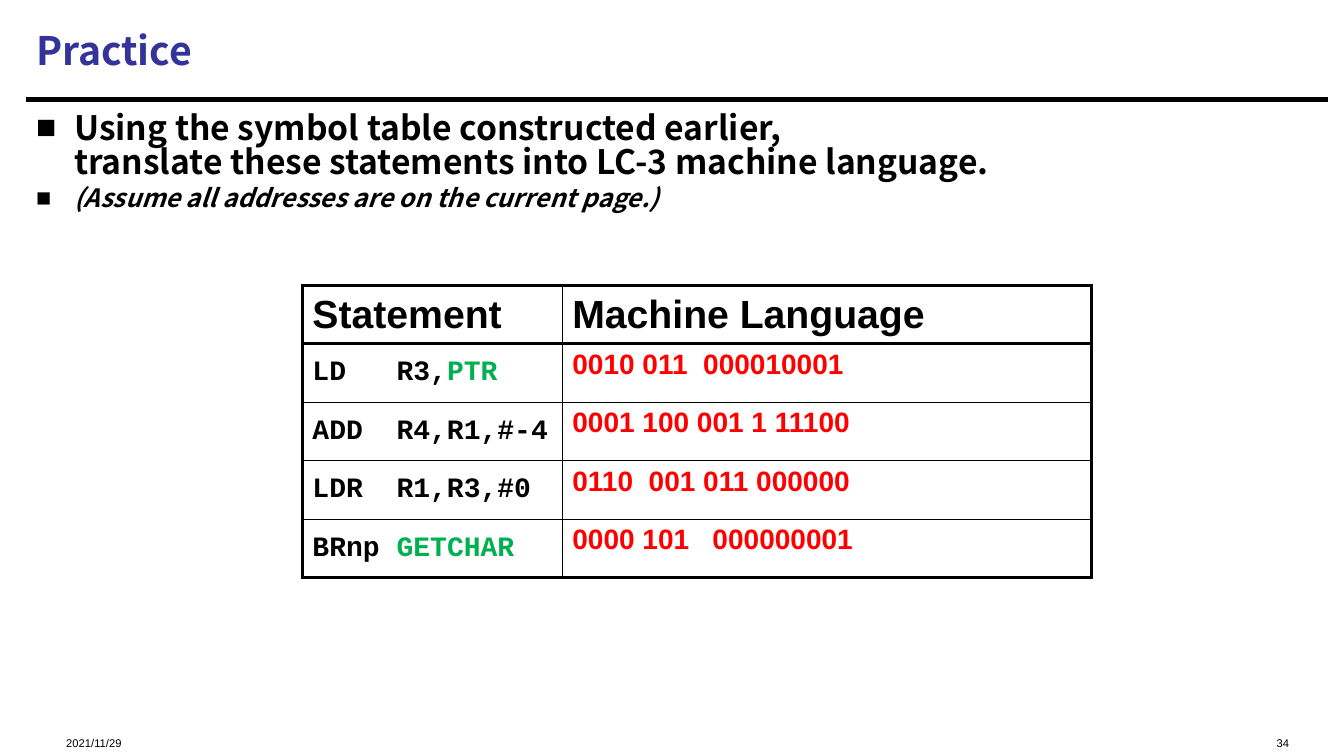
from lxml.etree import SubElement
from pptx import Presentation
from pptx.dml.color import RGBColor
from pptx.enum.shapes import MSO_CONNECTOR
from pptx.enum.text import MSO_ANCHOR, PP_ALIGN
from pptx.oxml import parse_xml
from pptx.oxml.ns import nsdecls, qn
from pptx.util import Cm, Pt

BLACK, BLUE, GREEN, RED = "000000", "333399", "00B050", "FF0000"
HEADING = {"name": "Noto Sans CJK SC", "bold": True}
HEADER = {"name": "Arial", "size": Pt(28), "bold": True}
CODE = {"name": "Courier New", "size": Pt(20), "bold": True}
BITS = {"name": "Arial", "size": Pt(20), "bold": True}
FOOTER = {"name": "Arial", "size": Pt(8)}
THIN, THICK = 1, 2.25

STATEMENTS = [
    ([("LD   R3,", BLACK), ("PTR", GREEN)], "0010 011  000010001"),
    ([("ADD  R4,R1,#-4", BLACK)], "0001 100 001 1 11100"),
    ([("LDR  R1,R3,#0", BLACK)], "0110  001 011 000000"),
    ([("BRnp ", BLACK), ("GETCHAR", GREEN)], "0000 101   000000001"),
]


def rgb(colour):
    return RGBColor.from_string(colour)


def add_span(para, text, colour, style):
    span = para.add_run()
    span.text = text
    span.font.color.rgb = rgb(colour)
    for name, value in style.items():
        setattr(span.font, name, value)


def place(shape, left, top, width, height):
    shape.left, shape.top = Cm(left), Cm(top)
    shape.width, shape.height = Cm(width), Cm(height)


def add_title(page, text):
    title = page.shapes.title
    place(title, 0.66, 0.2, 32.74, 2.13)
    title.text_frame.vertical_anchor = MSO_ANCHOR.MIDDLE
    para = title.text_frame.paragraphs[0]
    para.alignment = PP_ALIGN.LEFT
    add_span(para, text, BLUE, {**HEADING, "size": Pt(28)})


def add_rule(page):
    rule = page.shapes.add_connector(
        MSO_CONNECTOR.STRAIGHT, Cm(0.66), Cm(2.51), Cm(33.48), Cm(2.51))
    rule.line.color.rgb = rgb(BLACK)
    rule.line.width = Pt(3.75)
    SubElement(rule._element.spPr, qn("a:effectLst"))


def add_box(page, left, top, width, height):
    box = page.shapes.add_textbox(Cm(left), Cm(top), Cm(width), Cm(height))
    box.text_frame.word_wrap = True
    return box.text_frame


def add_bullet(para, lines, style):
    """Write one square-bulleted paragraph, with a line break between lines."""
    for number, line in enumerate(lines):
        if number:
            para.add_line_break()
        add_span(para, line, BLACK, {**HEADING, **style})
    para.line_spacing = 0.85
    para.space_before = Pt(4)
    properties = para._p.get_or_add_pPr()
    properties.set("marL", str(Cm(0.96)))
    properties.set("indent", str(-Cm(0.96)))
    SubElement(properties, qn("a:buFont"), typeface="Arial")
    SubElement(properties, qn("a:buChar"), char="■")


def add_footer(page, text, left, width, alignment):
    frame = add_box(page, left, 18.4, width, 0.64)
    frame.vertical_anchor = MSO_ANCHOR.MIDDLE
    para = frame.paragraphs[0]
    para.alignment = alignment
    add_span(para, text, BLACK, FOOTER)


def set_borders(cell, widths):
    """Draw the left, right, top and bottom borders, widths in points."""
    properties = cell._tc.get_or_add_tcPr()
    for index, (side, width) in enumerate(zip("LRTB", widths)):
        properties.insert(index, parse_xml(
            f'<a:ln{side} {nsdecls("a")} w="{Pt(width)}"><a:solidFill>'
            f'<a:srgbClr val="{BLACK}"/></a:solidFill></a:ln{side}>'))


def fill_cell(cell, spans, style, anchor):
    cell.fill.background()
    cell.vertical_anchor = anchor
    for text, colour in spans:
        add_span(cell.text_frame.paragraphs[0], text, colour, style)


def add_statement_table(page):
    last = len(STATEMENTS)
    table = page.shapes.add_table(
        last + 1, 2, Cm(7.62), Cm(7.19), Cm(19.89), Cm(7.37)).table
    table.first_row = table.horz_banding = False
    for column, width in zip(table.columns, (6.55, 13.34)):
        column.width = Cm(width)
    for column, text in enumerate(("Statement", "Machine Language")):
        fill_cell(table.cell(0, column), [(text, BLACK)], HEADER, MSO_ANCHOR.MIDDLE)
    for row, (code, bits) in enumerate(STATEMENTS, 1):
        fill_cell(table.cell(row, 0), code, CODE, MSO_ANCHOR.MIDDLE)
        fill_cell(table.cell(row, 1), [(bits, RED)], BITS, MSO_ANCHOR.TOP)
    for row in range(last + 1):
        top = THICK if row <= 1 else THIN
        bottom = THICK if row in (0, last) else THIN
        set_borders(table.cell(row, 0), (THICK, THIN, top, bottom))
        set_borders(table.cell(row, 1), (THIN, THICK, top, bottom))


def main():
    deck = Presentation()
    deck.slide_width, deck.slide_height = Cm(33.87), Cm(19.05)
    page = deck.slides.add_slide(deck.slide_layouts[5])
    add_rule(page)
    add_footer(page, "2021/11/29", 1.42, 8.46, PP_ALIGN.LEFT)
    add_footer(page, "34", 22.58, 10.16, PP_ALIGN.RIGHT)
    add_title(page, "Practice")
    add_statement_table(page)
    body = add_box(page, 0.66, 2.72, 32.74, 15.21)
    add_bullet(body.paragraphs[0],
               ["Using the symbol table constructed earlier,",
                "translate these statements into LC-3 machine language."],
               {"size": Pt(24)})
    add_bullet(body.add_paragraph(),
               ["(Assume all addresses are on the current page.)"],
               {"size": Pt(18), "italic": True})
    deck.save("out.pptx")


if __name__ == "__main__":
    main()
